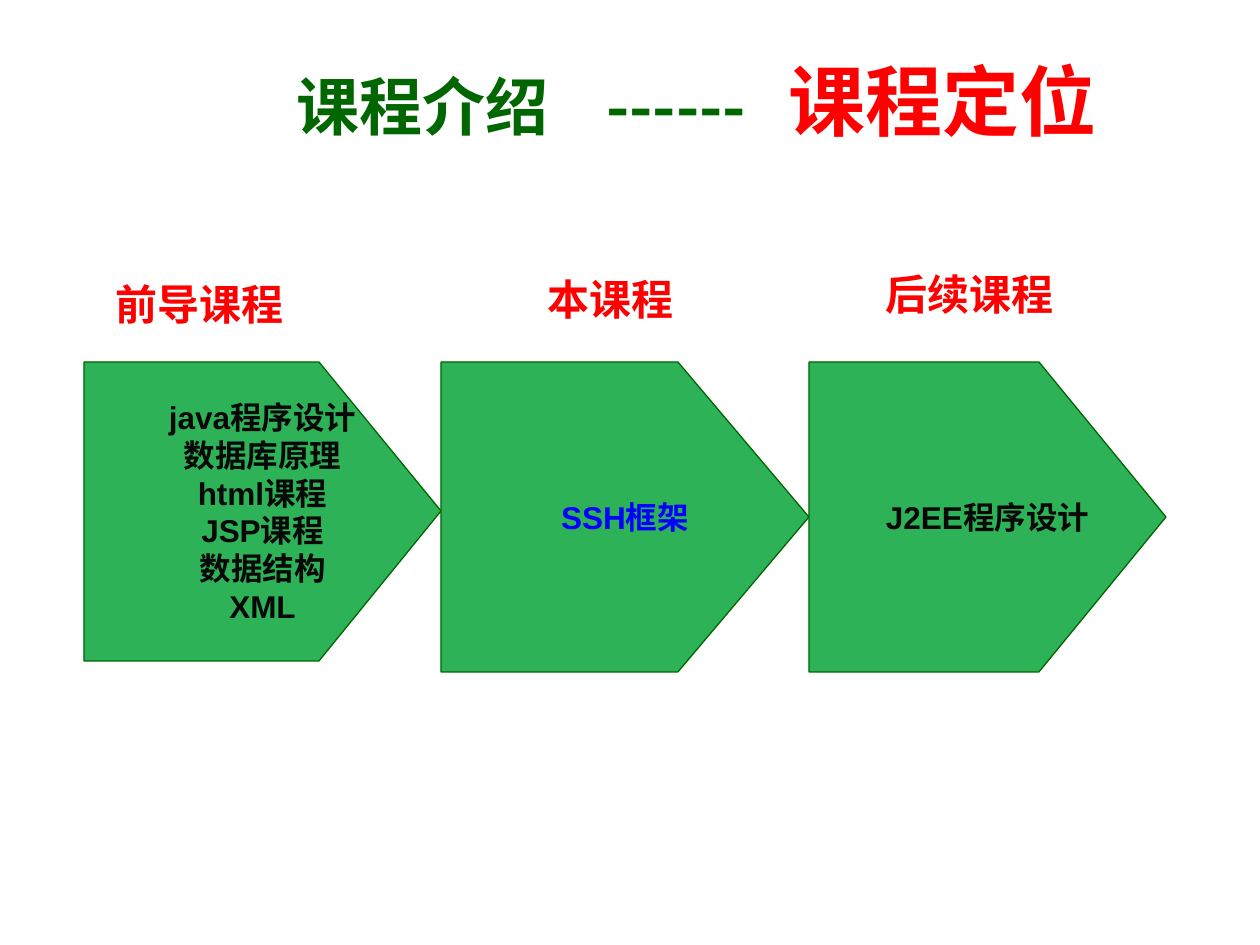
from lxml.etree import SubElement
from pptx import Presentation
from pptx.dml.color import RGBColor as Rgb
from pptx.enum.text import MSO_ANCHOR as Anchor, MSO_AUTO_SIZE as Auto, PP_ALIGN as Align
from pptx.oxml.ns import qn
from pptx.util import Pt

SCALE = 914400 / 126
GREEN = Rgb(0x2E, 0xB2, 0x57)
DARK = Rgb(0x00, 0x66, 0x00)
RED = Rgb(0xFF, 0x00, 0x00)
BLACK = Rgb(0x08, 0x08, 0x08)
BLUE = Rgb(0x00, 0x00, 0xFF)


def emu(px):
    return round(px * SCALE)


class Board:
    font = "Arial"
    head = "Noto Sans CJK JP"

    def __init__(self, slide):
        self.slide = slide

    def style(self, para, name, size=None, color=None):
        font = para.font
        font.name, font.bold = name, True
        if size:
            font.size = Pt(size)
            font.color.rgb = color

    def box(self, left, top, width, height):
        area = map(emu, (left, top, width, height))
        return self.slide.shapes.add_textbox(*area).text_frame

    def title(self, left, top, width, height, parts, stops):
        frame = self.box(left, top, width, height)
        frame.word_wrap = True
        frame.vertical_anchor = Anchor.MIDDLE
        para = frame.paragraphs[0]
        tabs = SubElement(para._p.get_or_add_pPr(), qn("a:tabLst"))
        for stop in stops:
            SubElement(tabs, qn("a:tab"), pos=str(emu(stop)), algn="l")
        self.style(para, self.head)
        for text, size, color in parts:
            run = para.add_run()
            run.text = text
            run.font.size = Pt(size)
            run.font.color.rgb = color

    def label(self, left, top, width, text):
        frame = self.box(left, top, width, 63)
        frame.word_wrap = True
        frame.auto_size = Auto.SHAPE_TO_FIT_TEXT
        self.fill(frame, [text], 24, RED)

    def fill(self, frame, lines, size, color):
        frame.text = "\n".join(lines)
        for para in frame.paragraphs:
            para.alignment = Align.CENTER
            self.style(para, self.font, size, color)

    def arrow(self, left, neck, tip, low, lines, color):
        top = 362
        path = self.slide.shapes.build_freeform(left, top, scale=SCALE)
        mid = (top + low) // 2
        path.add_line_segments([(neck, top), (tip, mid), (neck, low), (left, low)])
        shape = path.convert_to_shape()
        shape.shadow.inherit = False
        shape.fill.solid()
        shape.fill.fore_color.rgb = GREEN
        shape.line.color.rgb = DARK
        shape.line.width = Pt(0.75)
        frame = shape.text_frame
        frame.word_wrap = False
        frame.vertical_anchor = Anchor.MIDDLE
        self.fill(frame, lines, 18, color)


def main():
    deck = Presentation()
    deck.slide_width, deck.slide_height = emu(1260), emu(945)
    board = Board(deck.slides.add_slide(deck.slide_layouts[6]))
    parts = [("课程介绍\t------\t", 36, DARK), ("课程定位", 44, RED)]
    board.title(284, 53, 882, 94, parts, [310, 492])
    board.label(84, 272, 231, "前导课程")
    board.label(489, 267, 243, "本课程")
    board.label(848, 262, 243, "后续课程")
    prior = ["java程序设计", "数据库原理", "html课程", "JSP课程", "数据结构", "XML"]
    board.arrow(84, 319, 441, 661, prior, BLACK)
    board.arrow(441, 678, 809, 672, ["SSH框架"], BLUE)
    board.arrow(809, 1039, 1166, 672, ["J2EE程序设计"], BLACK)
    deck.save("out.pptx")


if __name__ == "__main__":
    main()
